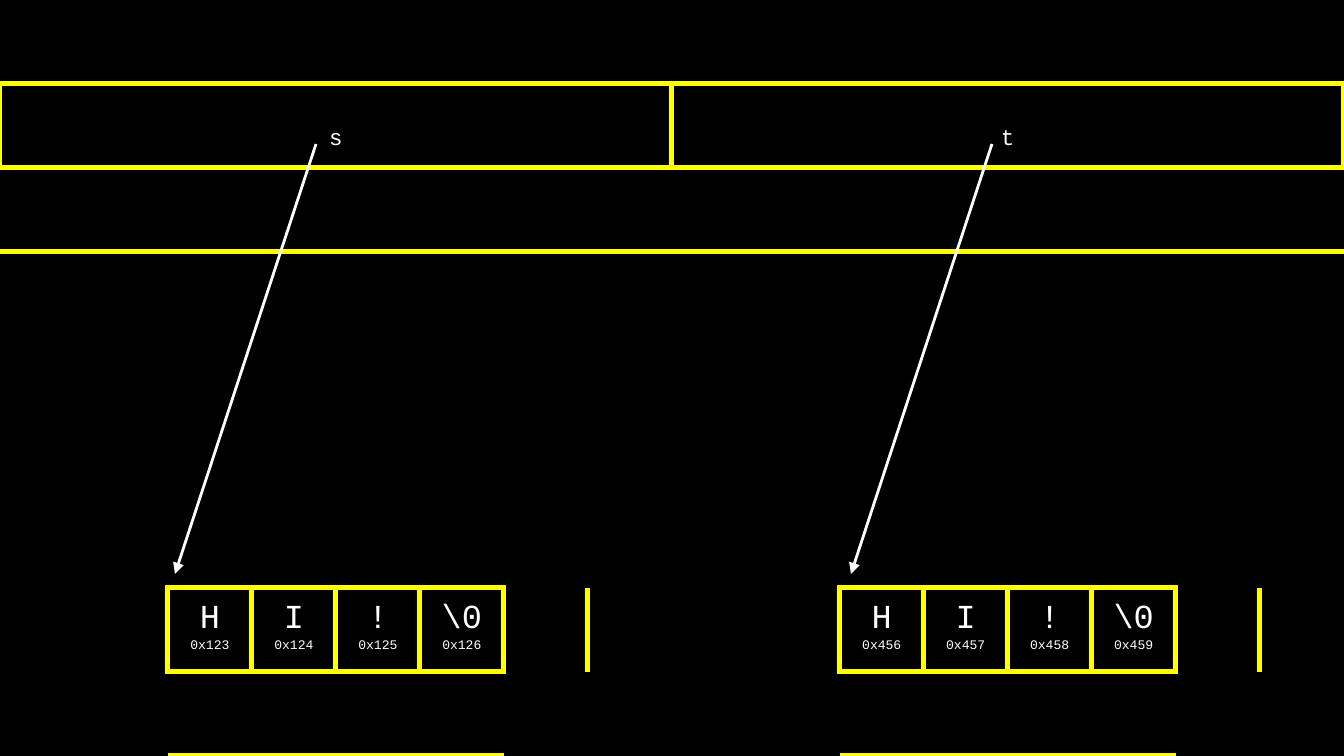
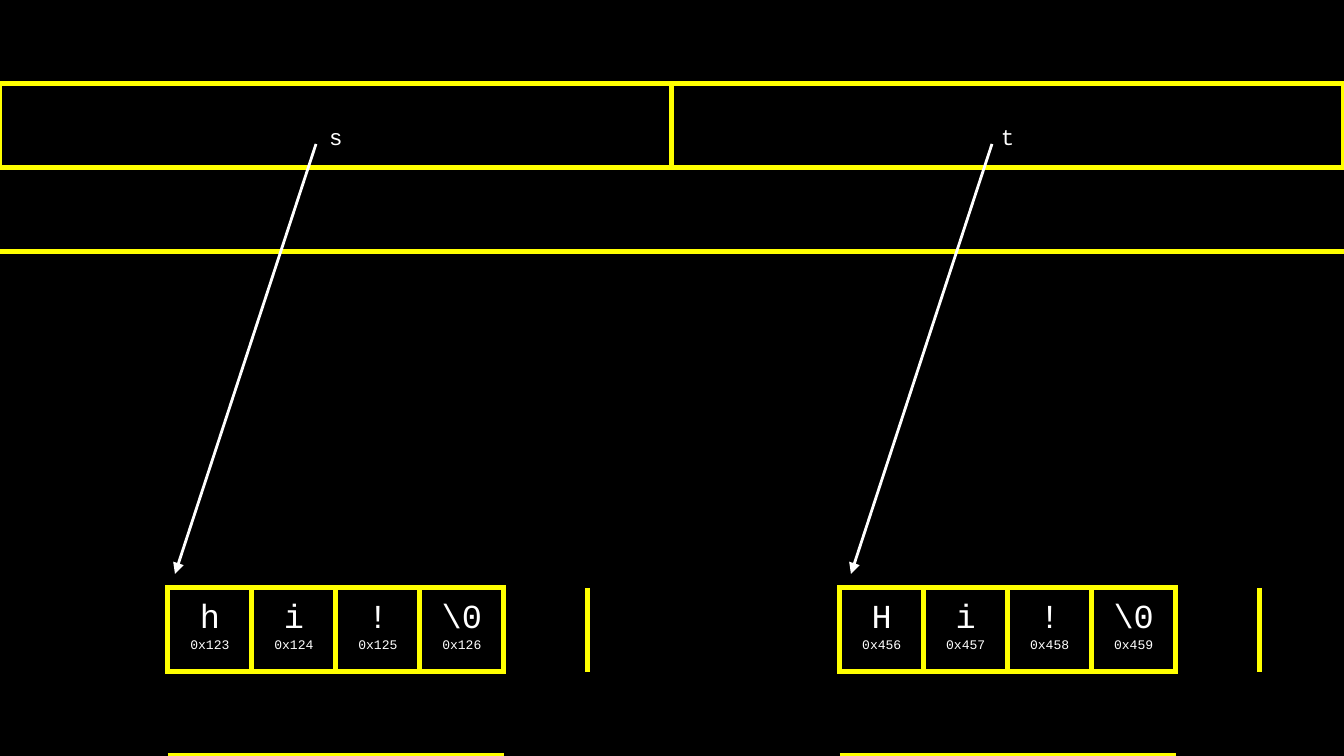
from dataclasses import dataclass

from lxml import etree
from pptx import Presentation, util as u
from pptx.dml import color as dml
from pptx.enum import shapes, text
from pptx.oxml import ns


@dataclass(frozen=True)
class Theme:
    back: str = "000000"
    edge: str = "FFFF00"
    ink: str = "FFFFFF"
    font: str = "Courier New"
    name: int = 12
    char: int = 18
    addr: int = 7
    rule: float = 3
    arrow: float = 1.5


T = Theme()
WIDE, HIGH = 1344, 756
SIDE = 84                   # one memory cell, px
COLS, ROWS = 16, 12
HALF = COLS // 2
TOP, LOW = 1, 7             # rows of the pointers and of the strings
START = 2                   # first column of a string within its half
PAD, DROP = 13, 43          # cell inset, inset above a pointer name
NO_GRID = "{2D5ABB26-0587-4C30-8999-92F81FD0307C}"
SIDES = {"lnL": (0, -1), "lnR": (0, 1), "lnT": (-1, 0), "lnB": (1, 0)}

# Each pointer: name, first address, x offset of its arrow
VARS = [("s", 0x123, 0), ("t", 0x456, 4)]
# Each slide: the characters held by s and by t
SLIDES = [(["H", "I", "!", "\\0"], ["H", "I", "!", "\\0"]),
          (["h", "i", "!", "\\0"], ["H", "i", "!", "\\0"])]


def px(n):
    return u.Emu(round(n * u.Inches(10) / WIDE))


def rgb(tone):
    return dml.RGBColor.from_string(tone)


def write(cell, lines, top=PAD):
    """Centre (text, size) lines in a cell."""
    cell.margin_left = cell.margin_right = cell.margin_bottom = px(PAD)
    cell.margin_top = px(top)
    cell.vertical_anchor = text.MSO_ANCHOR.TOP
    frame = cell.text_frame
    frame.text = "\n".join(line for line, _ in lines)
    for para, (_, size) in zip(frame.paragraphs, lines):
        para.alignment = text.PP_ALIGN.CENTER
        font = para.runs[0].font
        font.name, font.size = T.font, u.Pt(size)
        font.color.rgb = rgb(T.ink)


def border(cell, side):
    line = etree.SubElement(cell._tc.get_or_add_tcPr(), ns.qn("a:" + side),
                            w=str(u.Pt(T.rule)))
    fill = etree.SubElement(line, ns.qn("a:solidFill"))
    etree.SubElement(fill, ns.qn("a:srgbClr"), val=T.edge)


def grid(slide, x, y):
    """Add the empty square memory grid."""
    frame = slide.shapes.add_table(ROWS, COLS, px(x), px(y),
                                   px(COLS * SIDE), px(ROWS * SIDE))
    table = frame.table
    table.first_row = table.horz_banding = False
    table._tbl.tblPr.find(ns.qn("a:tableStyleId")).text = NO_GRID
    for part in table.columns:
        part.width = px(SIDE)
    for part in table.rows:
        part.height = px(SIDE)
    return table


def store(table, col, name, base, chars):
    """Fill one half of the grid; return the boxed positions."""
    head = table.cell(TOP, col)
    head.merge(table.cell(TOP, col + HALF - 1))
    write(head, [(name, T.name)], DROP)
    for i, char in enumerate(chars):
        write(table.cell(LOW, col + START + i),
              [(char, T.char), (f"0x{base + i:x}", T.addr)])
    return ({(TOP, col + i) for i in range(HALF)}
            | {(LOW, col + START + i) for i in range(len(chars))})


def outline(table, boxed):
    """Rule boxed cells, and the sides of others that face them."""
    for r in range(ROWS):
        for c in range(COLS):
            cell = table.cell(r, c)
            if not cell.is_spanned:
                for side, (down, over) in SIDES.items():
                    if (r, c) in boxed or (r + down, c + over) in boxed:
                        border(cell, side)
            cell.fill.background()


def arrow(slide, x, y):
    """Point from a name down to its string."""
    link = slide.shapes.add_connector(
        shapes.MSO_CONNECTOR.STRAIGHT,
        px(x + 316), px(y + 144), px(x + 175), px(y + 574))
    link.line.color.rgb = rgb(T.ink)
    link.line.width = u.Pt(T.arrow)
    props = link._element.spPr
    etree.SubElement(link.line._get_or_add_ln(), ns.qn("a:tailEnd"),
                     type="triangle")
    etree.SubElement(props, ns.qn("a:effectLst"))


def memory(deck, words):
    """Build one slide of two pointers and their strings."""
    slide = deck.slides.add_slide(deck.slide_layouts[6])
    table = grid(slide, 0, 0)
    boxed = set()
    for i, ((name, base, shift), chars) in enumerate(zip(VARS, words)):
        boxed |= store(table, i * HALF, name, base, chars)
        arrow(slide, i * HALF * SIDE + shift, 0)
    outline(table, boxed)


def main():
    deck = Presentation()
    deck.slide_width, deck.slide_height = px(WIDE), px(HIGH)
    # Shared black background
    fill = deck.slide_master.background.fill
    fill.solid()
    fill.fore_color.rgb = rgb(T.back)
    for words in SLIDES:
        memory(deck, words)
    deck.save("out.pptx")


if __name__ == "__main__":
    main()
